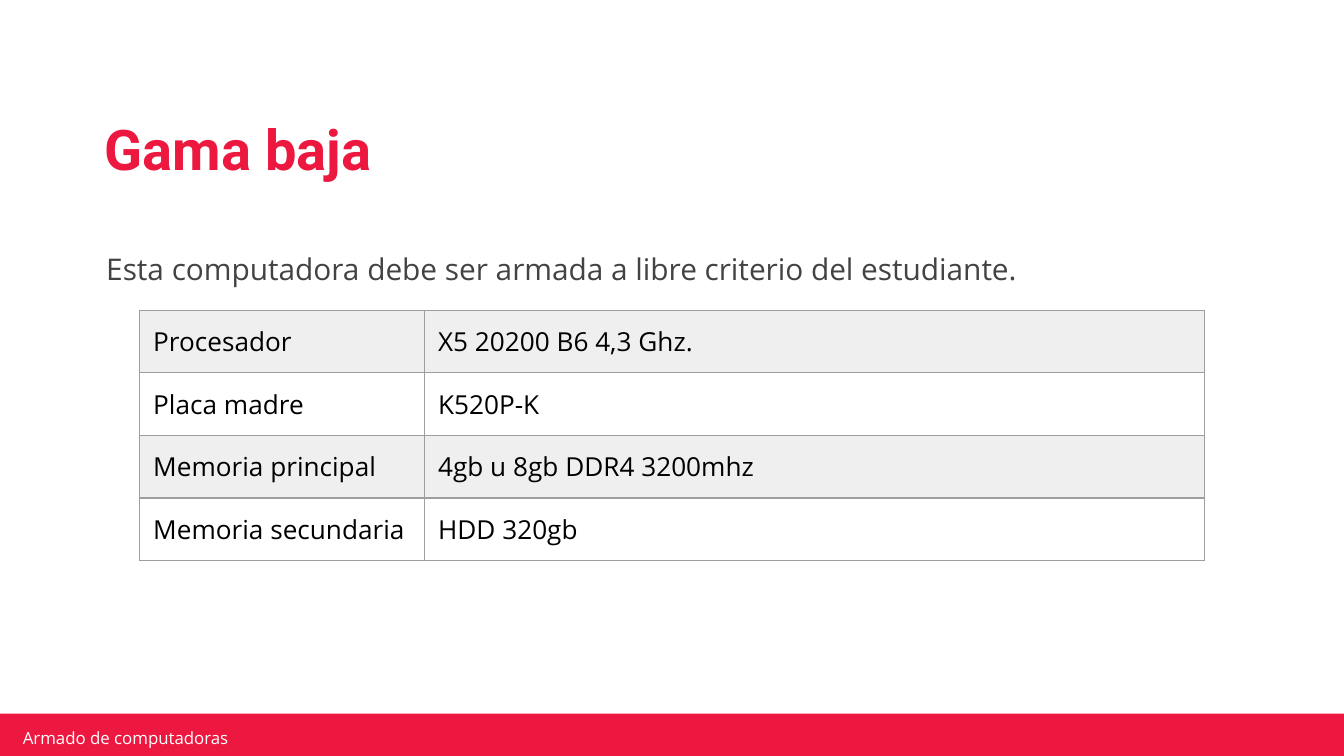
from lxml.etree import SubElement
from pptx import Presentation
from pptx.dml.color import RGBColor
from pptx.enum.shapes import MSO_SHAPE
from pptx.enum.text import MSO_ANCHOR, MSO_AUTO_SIZE, PP_ALIGN
from pptx.oxml.ns import qn
from pptx.util import Inches, Pt

WIDTH, HEIGHT = Inches(10), Inches(5.625)
RED = RGBColor(0xEC, 0x18, 0x3F)
WHITE = RGBColor(0xFF, 0xFF, 0xFF)
BLACK = RGBColor(0x00, 0x00, 0x00)
DARK_GRAY = RGBColor(0x43, 0x43, 0x43)
BORDER_GRAY = RGBColor(0x9E, 0x9E, 0x9E)
BAND_GRAY = RGBColor(0xEF, 0xEF, 0xEF)

COMPONENTS = [
    ("Procesador", "X5 20200 B6 4,3 Ghz."),
    ("Placa madre", "K520P-K"),
    ("Memoria principal", "4gb u 8gb DDR4 3200mhz"),
    ("Memoria secundaria", "HDD 320gb"),
]
COLUMN_WIDTHS = (2.12, 5.8)


def area(left, top, width, height):
    """Turn percentages of the slide into left, top, width and height."""
    return (int(WIDTH * left / 100), int(HEIGHT * top / 100),
            int(WIDTH * width / 100), int(HEIGHT * height / 100))


def move(box, position):
    """Place a box on the slide."""
    box.left, box.top, box.width, box.height = position


def set_margins(holder, horizontal, vertical):
    """Set equal opposite margins, in inches, on a text frame or cell."""
    holder.margin_left = holder.margin_right = Inches(horizontal)
    holder.margin_top = holder.margin_bottom = Inches(vertical)


def write(frame, text, size, color, name="Open Sans", bold=False, spacing=1.0):
    """Write one left-aligned paragraph without a bullet."""
    frame.text = text
    para = frame.paragraphs[0]
    para.alignment = PP_ALIGN.LEFT
    para.line_spacing = spacing
    para.space_before = Pt(0)
    para.font.size = Pt(size)
    para.font.name = name
    para.font.bold = bold
    para.font.color.rgb = color
    properties = para._p.get_or_add_pPr()
    properties.set("marL", "0")
    properties.set("indent", "0")
    SubElement(properties, qn("a:buNone"))


def fill_box(box, position, anchor, margins, text, size, color, **style):
    """Place a text box or placeholder and write its text."""
    move(box, position)
    frame = box.text_frame
    frame.word_wrap = True
    frame.auto_size = MSO_AUTO_SIZE.NONE
    frame.vertical_anchor = anchor
    set_margins(frame, *margins)
    write(frame, text, size, color, **style)


def add_footer(slide):
    """Add the red bar with the course name."""
    bar = slide.shapes.add_shape(MSO_SHAPE.RECTANGLE, *area(0, 94.4, 100, 5.6))
    bar.shadow.inherit = False
    bar.fill.solid()
    bar.fill.fore_color.rgb = RED
    bar.line.fill.background()
    position = area(1.2, 96.3, 23.9, 2.7)
    label = slide.shapes.add_textbox(*position)
    fill_box(label, position, MSO_ANCHOR.MIDDLE, (0.05, 0.02),
             "Armado de computadoras", 9, WHITE)


def add_borders(cell):
    """Draw a thin gray line on each side of a cell."""
    properties = cell._tc.get_or_add_tcPr()
    for side in ("a:lnL", "a:lnR", "a:lnT", "a:lnB"):
        line = SubElement(properties, qn(side), w=str(Pt(0.75)))
        fill = SubElement(line, qn("a:solidFill"))
        SubElement(fill, qn("a:srgbClr"), val=str(BORDER_GRAY))


def add_component_table(slide):
    """Add the table of components with every other row shaded."""
    frame = slide.shapes.add_table(len(COMPONENTS), len(COLUMN_WIDTHS),
                                   *area(10.4, 41.05, 79.2, 33.1))
    table = frame.table
    table.first_row = table.horz_banding = False
    for column, width in zip(table.columns, COLUMN_WIDTHS):
        column.width = Inches(width)
    for row, texts in enumerate(COMPONENTS):
        for column, text in enumerate(texts):
            cell = table.cell(row, column)
            set_margins(cell, 0.1, 0.1)
            write(cell.text_frame, text, 14, BLACK)
            add_borders(cell)
            if row % 2 == 0:
                cell.fill.solid()
                cell.fill.fore_color.rgb = BAND_GRAY
            else:
                cell.fill.background()


def main():
    """Build and save the deck."""
    deck = Presentation()
    deck.slide_width, deck.slide_height = WIDTH, HEIGHT
    slide = deck.slides.add_slide(deck.slide_layouts[1])
    slide.background.fill.solid()
    slide.background.fill.fore_color.rgb = WHITE
    add_footer(slide)
    fill_box(slide.shapes.title, area(6.9, 11.9, 84, 16.5), MSO_ANCHOR.MIDDLE,
             (0.09, 0.04), "Gama baja", 30, RED,
             name="Roboto", bold=True, spacing=0.9)
    add_component_table(slide)
    fill_box(slide.placeholders[1], area(6.9, 29.9, 88.3, 5.3), MSO_ANCHOR.TOP,
             (0.1, 0.05),
             "Esta computadora debe ser armada a libre criterio del estudiante.",
             16, DARK_GRAY, spacing=1.5)
    deck.save("out.pptx")


if __name__ == "__main__":
    main()
